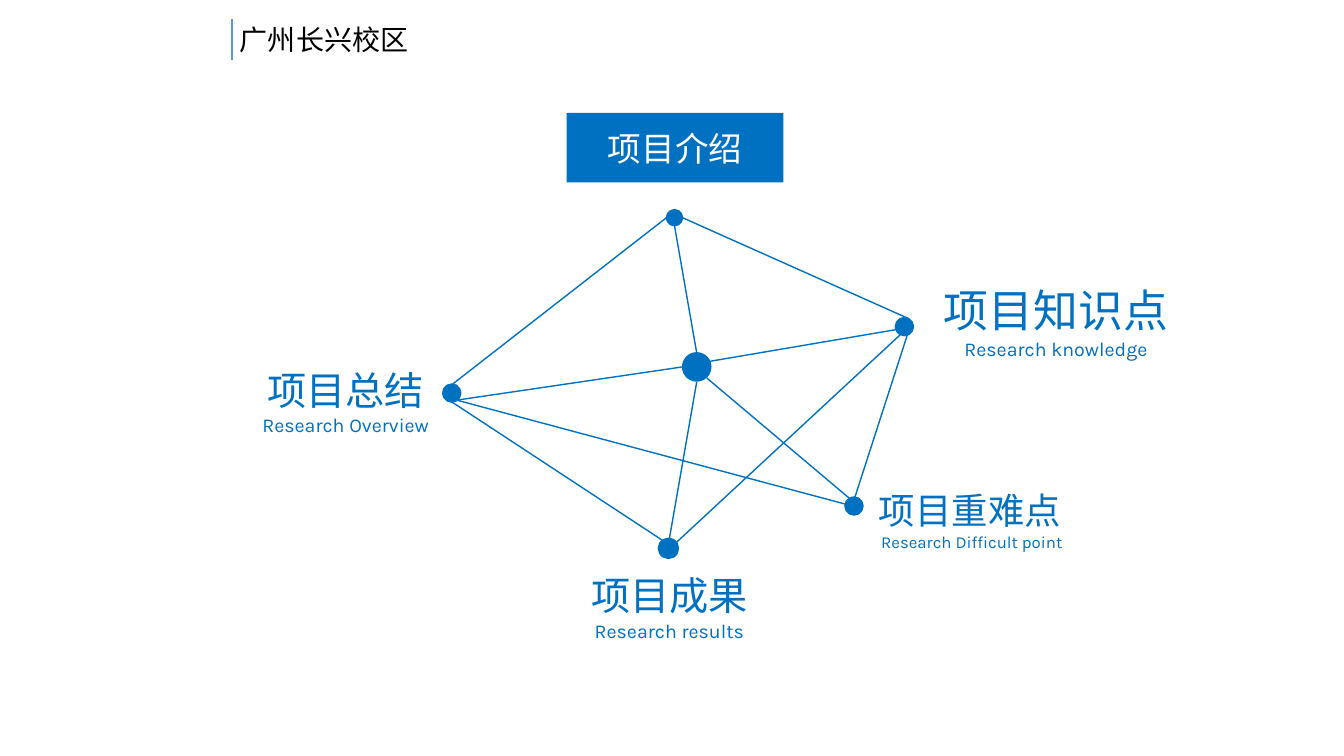
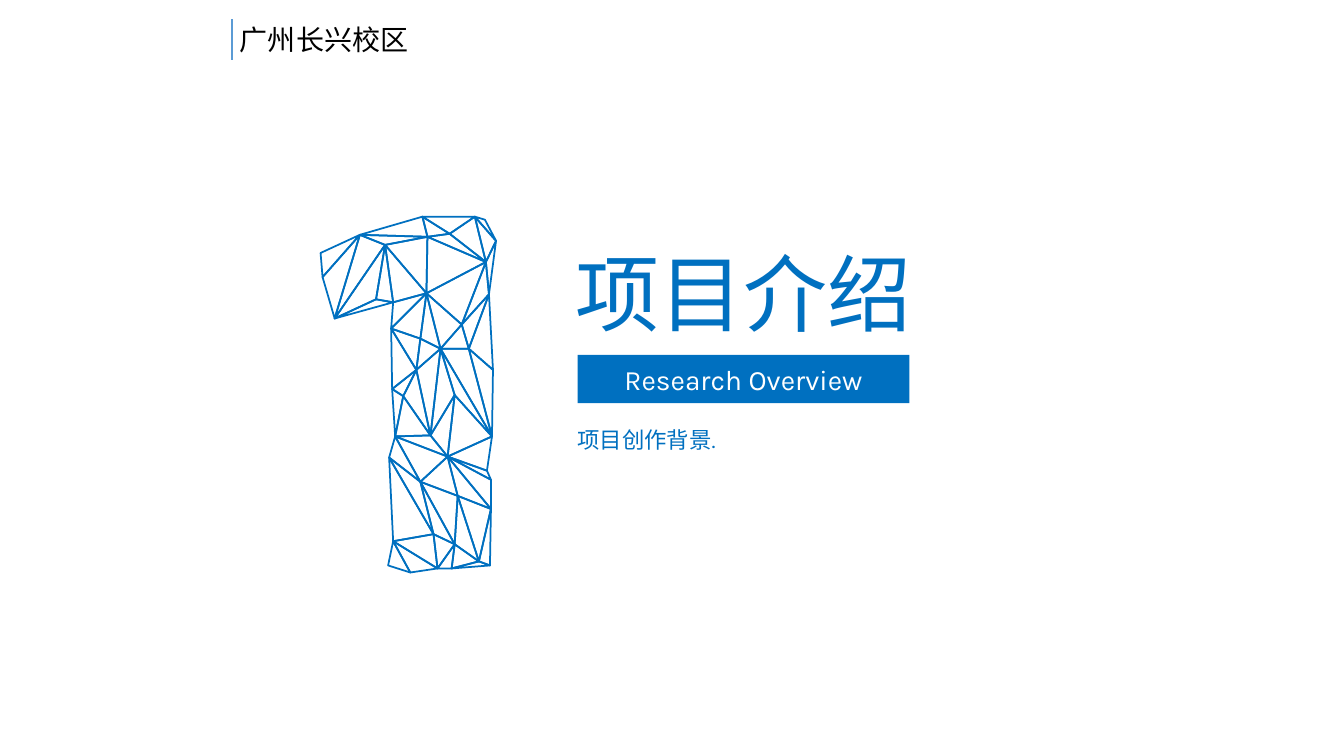
"""Build two campus project slides: a topic network and a section opener."""
import lxml.etree
import pptx
import pptx.dml.color
import pptx.enum.shapes
import pptx.enum.text
import pptx.oxml.ns
import pptx.util

Inches = pptx.util.Inches
ALIGN = pptx.enum.text.PP_ALIGN
ANCHOR = pptx.enum.text.MSO_ANCHOR
SHAPE = pptx.enum.shapes.MSO_SHAPE

BLUE, LIGHT_BLUE, WHITE, BLACK = "0070C0", "5B9BD5", "FFFFFF", "000000"
LATIN_FONT, CJK_FONT = "Karla", "Noto Sans CJK KR"
TITLE = "广州长兴校区"

DOTS = [
    (6.61, 2.08, 0.16),
    (6.77, 3.5, 0.28),
    (8.88, 3.15, 0.18),
    (4.39, 3.81, 0.18),
    (6.53, 5.34, 0.2),
    (8.38, 4.93, 0.18),
]
LINKS = [
    ((6.61, 2.16), (4.49, 3.81)),
    ((6.77, 2.16), (9.01, 3.16)),
    ((6.69, 2.24), (6.91, 3.5)),
    ((4.47, 3.98), (6.57, 5.36)),
    ((8.38, 5), (4.53, 3.97)),
    ((6.71, 5.38), (8.93, 3.32)),
    ((6.91, 3.79), (6.64, 5.34)),
    ((7.01, 3.75), (8.42, 4.94)),
    ((8.89, 3.27), (7.01, 3.59)),
    ((9, 3.32), (8.48, 4.93)),
    ((6.77, 3.64), (4.53, 3.97)),
]
LABELS = [
    ((2.26, 3.58, 2.34, 0.81), [[("项目总结", 28)], [("Research Overview", 14)]]),
    ((5.47, 5.62, 2.34, 0.81), [[("项目成果", 28), ("Research results", 14)]]),
    ((8.52, 4.79, 2.2, 0.74), [[("项目重难点", 26)], [(" Research Difficult point", 12)]]),
    ((9.09, 2.76, 2.77, 0.87), [[("项目知识点", 32)], [("Research knowledge", 14)]]),
]

MESH_UNIT = Inches(0.01)
MESH_NODES = {
    "a": (318, 251), "b": (357, 233), "c": (419, 215), "d": (471, 215), "e": (481, 218),
    "f": (492, 239), "g": (482, 260), "h": (424, 235), "i": (446, 232), "j": (382, 243),
    "k": (320, 275), "l": (332, 316), "m": (373, 297), "n": (390, 300), "o": (423, 291),
    "p": (485, 292), "q": (388, 326), "r": (417, 336), "s": (458, 322), "t": (437, 346),
    "u": (465, 346), "v": (489, 367), "w": (413, 367), "x": (389, 386), "y": (400, 393),
    "z": (451, 392), "A": (392, 433), "B": (427, 432), "C": (488, 433), "D": (386, 454),
    "E": (444, 453), "F": (483, 467), "G": (487, 476), "H": (417, 478), "I": (454, 492),
    "J": (487, 505), "K": (430, 530), "L": (390, 537), "M": (451, 540), "N": (475, 557),
    "O": (486, 561), "P": (385, 561), "Q": (407, 568), "R": (434, 564), "S": (448, 564),
}
MESH_FACES = (
    "abk bkl blj bjh bch chi cid dig def dfg igh hjo hog jlm jmn jno mln fgp gsp osg "
    "onq oqr ort ots psu puv stu qxw qwr rwt wxy wyB twB tBz tzC tCu uCv xAy yAB zBE zEC "
    "ABE AHE ADH CEF EFG EJG EIJ EHI DHK DKL HKM HMI IMN INJ JNO KRM LKR LRQ LQP MSR MNS NOS"
).split()


def colour(value):
    """Turn a hex string into a colour."""
    return pptx.dml.color.RGBColor.from_string(value)


def add_span(para, text, size, tint, font=LATIN_FONT):
    """Append a formatted run to a paragraph."""
    span = para.add_run()
    span.text = text
    span.font.size = pptx.util.Pt(size)
    span.font.color.rgb = colour(tint)
    span.font.name = font
    properties = span.font._element
    lxml.etree.SubElement(properties, pptx.oxml.ns.qn("a:ea"), typeface=CJK_FONT)


def write_paras(frame, paras, tint, align, font=LATIN_FONT):
    """Fill a text frame with paragraphs of (text, size) runs."""
    frame.word_wrap = True
    for index, spans in enumerate(paras):
        para = frame.add_paragraph() if index else frame.paragraphs[0]
        para.alignment = align
        for text, size in spans:
            add_span(para, text, size, tint, font)


def add_text(page, place, paras, align=ALIGN.CENTER):
    """Add a blue text box."""
    box = page.shapes.add_textbox(*map(Inches, place))
    write_paras(box.text_frame, paras, BLUE, align)
    box.text_frame.auto_size = pptx.enum.text.MSO_AUTO_SIZE.SHAPE_TO_FIT_TEXT


def add_solid(page, kind, place):
    """Add a borderless blue shape without shadow."""
    shape = page.shapes.add_shape(kind, *map(Inches, place))
    shape.shadow.inherit = False
    shape.fill.solid()
    shape.fill.fore_color.rgb = colour(BLUE)
    shape.line.fill.background()
    return shape


def add_dot(page, left, top, size):
    """Add a network dot with a thin outline."""
    dot = add_solid(page, SHAPE.OVAL, (left, top, size, size))
    dot.line.color.rgb = colour(BLUE)
    dot.line.width = pptx.util.Pt(1)


def add_banner(page, place, text, size):
    """Add a blue bar with centred white text."""
    banner = add_solid(page, SHAPE.RECTANGLE, place)
    banner.text_frame.vertical_anchor = ANCHOR.MIDDLE
    write_paras(banner.text_frame, [[(text, size)]], WHITE, ALIGN.CENTER)


def add_line(page, start, end, tint=BLUE, width=1):
    """Add a straight line without shadow."""
    line = page.shapes.add_connector(
        pptx.enum.shapes.MSO_CONNECTOR.STRAIGHT, *map(Inches, (*start, *end)))
    line.line.color.rgb = colour(tint)
    line.line.width = pptx.util.Pt(width)
    lxml.etree.SubElement(line._element.spPr, pptx.oxml.ns.qn("a:effectLst"))


def add_mesh_digit(page):
    """Draw the digit one as a single wireframe of triangles."""
    builder = page.shapes.build_freeform(*MESH_NODES[MESH_FACES[0][0]], scale=MESH_UNIT)
    for face in MESH_FACES:
        first, *others = [MESH_NODES[name] for name in face]
        builder.move_to(*first)
        builder.add_line_segments(others, close=True)
    digit = builder.convert_to_shape()
    digit.shadow.inherit = False
    digit.fill.background()
    digit.line.color.rgb = colour(BLUE)
    digit.line.width = pptx.util.Pt(1.25)


def add_page(deck):
    """Add a slide with the shared title and accent line."""
    page = deck.slides.add_slide(deck.slide_layouts[5])
    title = page.shapes.title
    title.left, title.top, title.width, title.height = map(Inches, (2.28, 0.17, 2.44, 0.44))
    title.text_frame.vertical_anchor = ANCHOR.TOP
    write_paras(title.text_frame, [[(TITLE, 20)]], BLACK, ALIGN.LEFT, CJK_FONT)
    add_line(page, (2.3, 0.19), (2.3, 0.6), LIGHT_BLUE, 1.5)
    return page


def build_network(deck):
    """Build the topic network slide."""
    page = add_page(deck)
    for start, end in LINKS:
        add_line(page, start, end)
    for dot in DOTS:
        add_dot(page, *dot)
    add_banner(page, (5.62, 1.12, 2.15, 0.69), "项目介绍", 24)
    for place, paras in LABELS:
        add_text(page, place, paras)


def build_section(deck):
    """Build the section opener slide."""
    page = add_page(deck)
    add_mesh_digit(page)
    add_banner(page, (5.73, 3.52, 3.29, 0.48), "Research Overview", 20)
    add_text(page, (5.25, 2.35, 4.25, 1.11), [[("项目介绍", 60)]])
    add_text(page, (5.63, 4.18, 5.41, 0.37), [[("项目创作背景.", 16)]], ALIGN.LEFT)


def main():
    """Create and save the deck."""
    deck = pptx.Presentation()
    deck.slide_width, deck.slide_height = Inches(13.33), Inches(7.5)
    build_network(deck)
    build_section(deck)
    deck.save("out.pptx")


if __name__ == "__main__":
    main()
